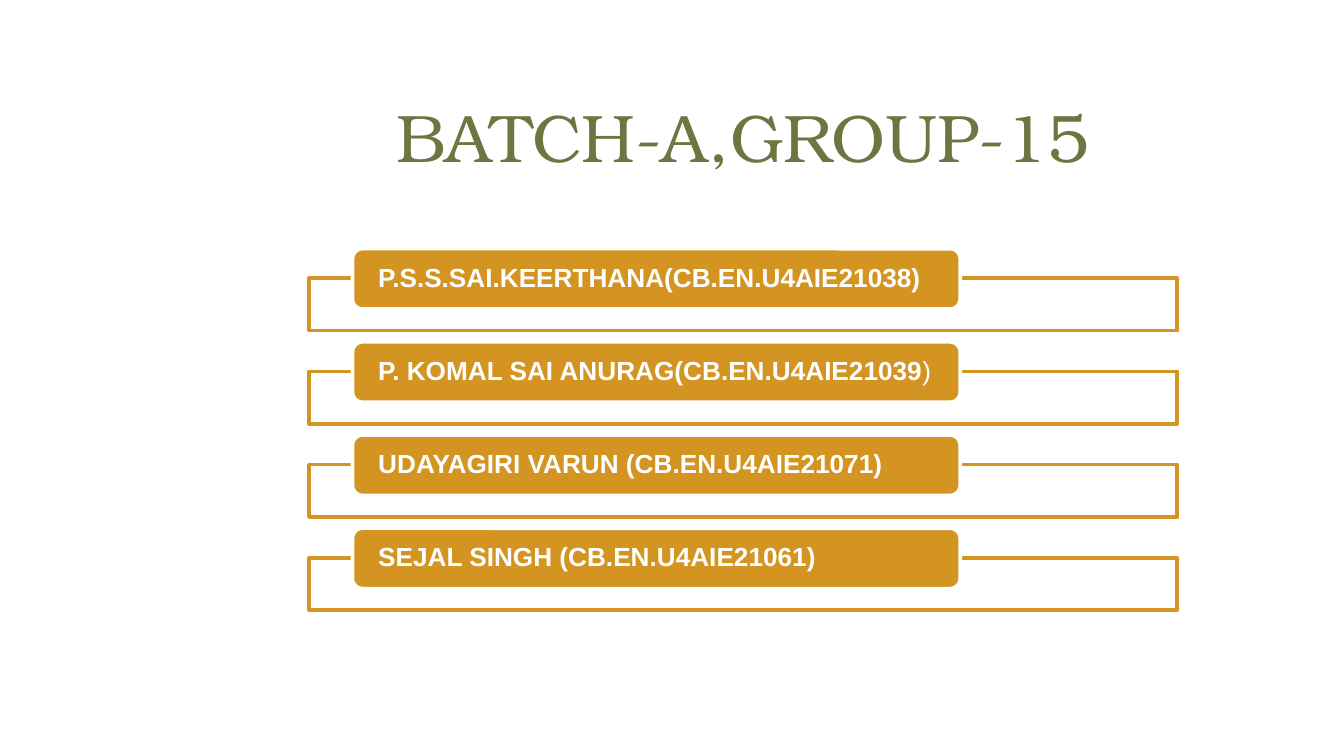
from dataclasses import dataclass

from lxml import etree
from pptx import Presentation
from pptx.dml.color import RGBColor
from pptx.enum.shapes import MSO_SHAPE
from pptx.enum.text import MSO_ANCHOR, PP_ALIGN
from pptx.oxml.ns import qn
from pptx.util import Inches, Pt

RECT, PILL = MSO_SHAPE.RECTANGLE, MSO_SHAPE.ROUNDED_RECTANGLE
MIDDLE, BOTTOM = MSO_ANCHOR.MIDDLE, MSO_ANCHOR.BOTTOM
LEFT, CENTER = PP_ALIGN.LEFT, PP_ALIGN.CENTER

COLORS = {"title": "6B7641", "accent": "D49421", "paper": "FFFFFF"}

# Slide in 16:9, in inches
SLIDE_WIDTH = 10
SLIDE_HEIGHT = SLIDE_WIDTH * 9 / 16

# Grid of the member list, in inches
LIST_LEFT = 2.3
FIRST_TOP, LAST_TOP = 1.85, 3.93
FRAME_WIDTH, FRAME_HEIGHT = 6.46, 0.39
FRAME_DROP = 0.22
NAME_INDENT = FRAME_WIDTH * 0.05
NAME_WIDTH, NAME_HEIGHT = FRAME_WIDTH * 0.7, 0.45


@dataclass(frozen=True)
class Member:
    label: str
    plain_tail: str = ""  # closing part set without bold


MEMBERS = [
    Member("P.S.S.SAI.KEERTHANA(CB.EN.U4AIE21038)"),
    Member("P. KOMAL SAI ANURAG(CB.EN.U4AIE21039", ")"),
    Member("UDAYAGIRI VARUN (CB.EN.U4AIE21071)"),
    Member("SEJAL SINGH (CB.EN.U4AIE21061)"),
]
ROW_PITCH = (LAST_TOP - FIRST_TOP) / (len(MEMBERS) - 1)


def rgb(name: str) -> RGBColor:
    return RGBColor.from_string(COLORS[name])


def write(shape, *runs: tuple[str, bool], font: str, size: float, color: str,
          align=LEFT, anchor=MIDDLE, inset_x: float = 0.1,
          inset_y: float = 0.1, spacing: float = 1.0) -> None:
    """Fill a shape with one paragraph of (text, bold) runs."""
    frame = shape.text_frame
    frame.word_wrap = True
    frame.vertical_anchor = anchor
    frame.margin_left = frame.margin_right = Inches(inset_x)
    frame.margin_top = frame.margin_bottom = Inches(inset_y)
    paragraph = frame.paragraphs[0]
    paragraph.alignment = align
    paragraph.line_spacing = spacing
    for text, bold in runs:
        run = paragraph.add_run()
        run.text = text
        run.font.name = font
        run.font.size = Pt(size)
        run.font.bold = bold
        run.font.color.rgb = rgb(color)


def add_box(slide, kind, left: float, top: float, width: float, height: float,
            fill: str, line: str, opacity: int = 100):
    box = slide.shapes.add_shape(
        kind, Inches(left), Inches(top), Inches(width), Inches(height))
    box.shadow.inherit = False
    box.fill.solid()
    box.fill.fore_color.rgb = rgb(fill)
    box.line.color.rgb = rgb(line)
    box.line.width = Pt(2)
    if opacity < 100:
        fill_color = box.fill._xPr.find(qn("a:solidFill"))[0]
        etree.SubElement(fill_color, qn("a:alpha"), val=str(opacity * 1000))
    return box


def add_member(slide, row: int, member: Member) -> None:
    top = FIRST_TOP + row * ROW_PITCH
    add_box(slide, RECT, LIST_LEFT, top + FRAME_DROP, FRAME_WIDTH,
            FRAME_HEIGHT, fill="paper", line="accent", opacity=90)
    name = add_box(slide, PILL, LIST_LEFT + NAME_INDENT, top, NAME_WIDTH,
                   NAME_HEIGHT, fill="accent", line="paper")
    runs = [(member.label, True)]
    if member.plain_tail:
        runs.append((member.plain_tail, False))
    write(name, *runs, font="Arial", size=14, color="paper",
          inset_x=0.17, inset_y=0, spacing=0.9)


def main() -> None:
    deck = Presentation()
    deck.slide_width, deck.slide_height = Inches(SLIDE_WIDTH), Inches(SLIDE_HEIGHT)
    slide = deck.slides.add_slide(deck.slide_layouts[6])

    # Title
    title = slide.shapes.add_textbox(
        Inches(2.77), Inches(0.57), Inches(5.51), Inches(0.84))
    write(title, ("BATCH-A,GROUP-15", False), font="TeX Gyre Bonum", size=36,
          color="title", align=CENTER, anchor=BOTTOM)

    # Group members
    for row, member in enumerate(MEMBERS):
        add_member(slide, row, member)

    deck.save("out.pptx")


if __name__ == "__main__":
    main()
